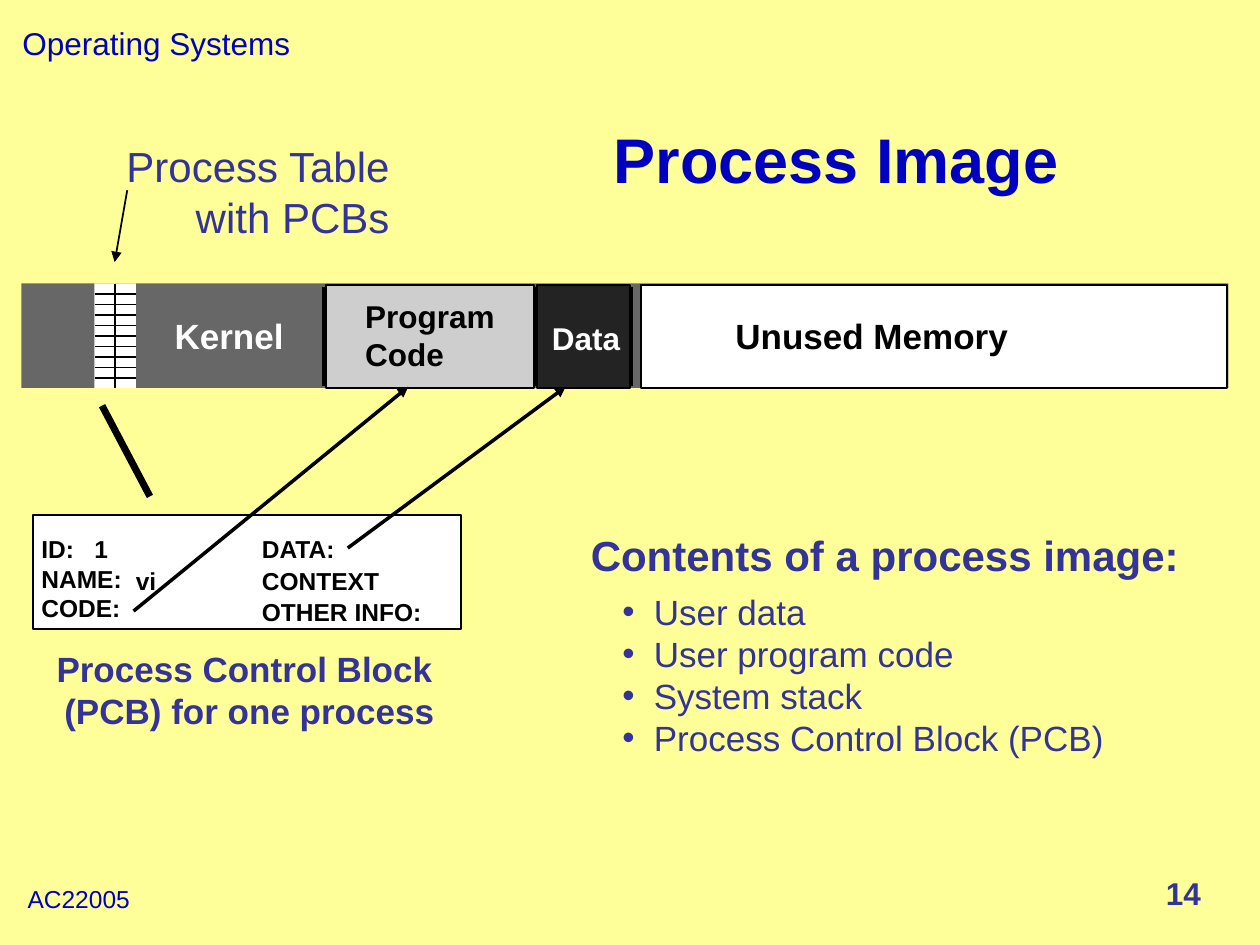
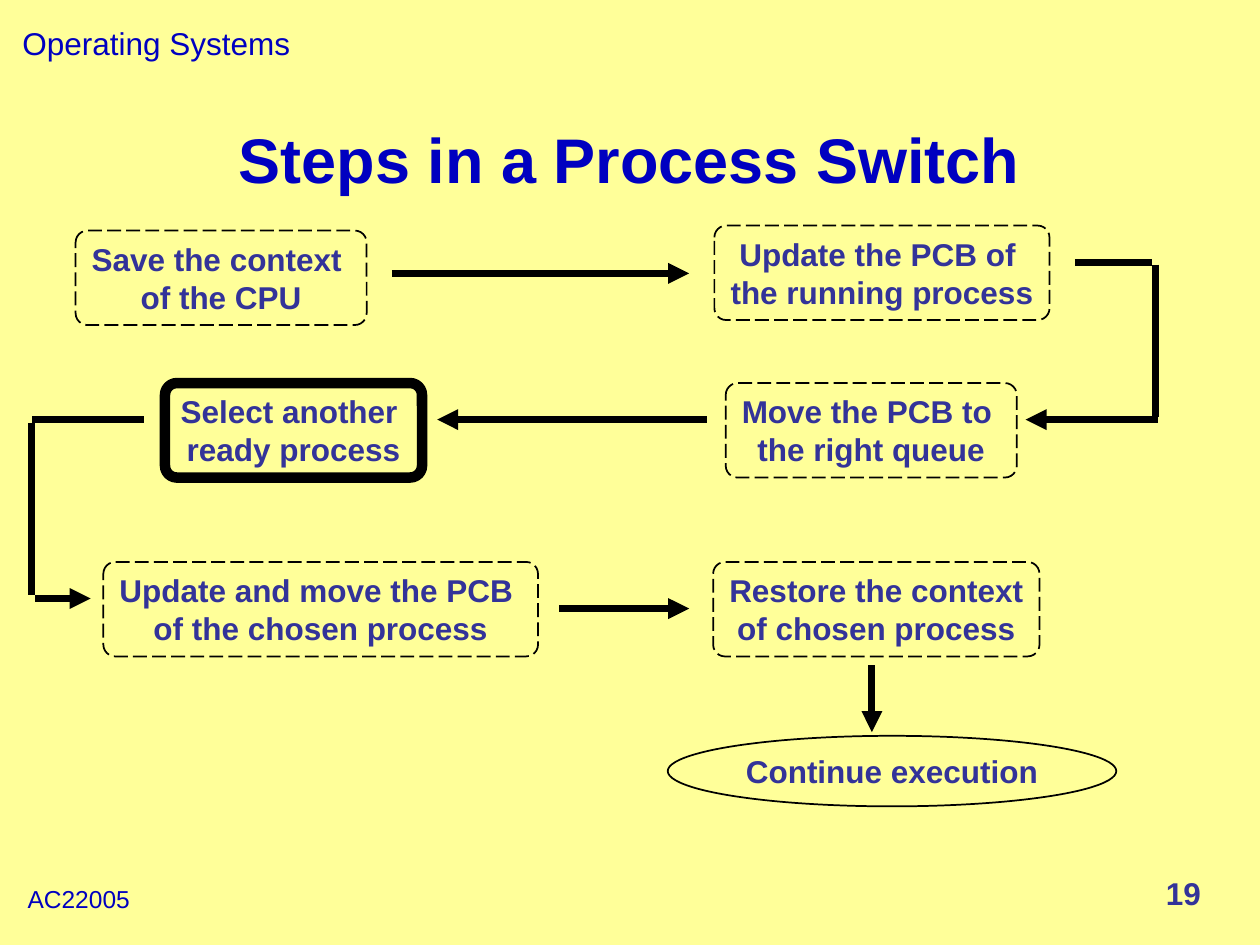
from dataclasses import dataclass

from lxml import etree
from pptx import Presentation
from pptx.dml.color import RGBColor
from pptx.enum.dml import MSO_LINE
from pptx.enum.shapes import MSO_CONNECTOR, MSO_SHAPE
from pptx.enum.text import MSO_ANCHOR, MSO_AUTO_SIZE, PP_ALIGN
from pptx.oxml.ns import qn
from pptx.util import Inches, Pt

LEFT, CENTER, RIGHT = PP_ALIGN.LEFT, PP_ALIGN.CENTER, PP_ALIGN.RIGHT
TOP, MIDDLE = MSO_ANCHOR.TOP, MSO_ANCHOR.MIDDLE
RECT, ROUNDED, OVAL = MSO_SHAPE.RECTANGLE, MSO_SHAPE.ROUNDED_RECTANGLE, MSO_SHAPE.OVAL


@dataclass(frozen=True)
class Theme:
    font: str = "Arial"
    paper: str = "FFFF99"
    title: str = "0000C0"
    body: str = "333399"
    black: str = "000000"
    white: str = "FFFFFF"
    kernel: str = "676767"
    code: str = "CECECE"
    data: str = "232323"
    title_size: int = 36
    large: int = 24
    medium: int = 20
    normal: int = 18
    small: int = 14
    thin: int = 1
    pointer: int = 2
    thick: int = 4
    frame: int = 6


T = Theme()

# Shared content
COURSE, MODULE = "Operating Systems", "AC22005"
TITLE_TOP, TITLE_HEIGHT = 0.67, 1.25

# Process image content: left, top, width, height in inches
BAR_TOP, BAR_HEIGHT = 2.25, 0.83
KERNEL = (0.17, 9.58)
SEGMENTS = [(2.59, 1.65, T.code), (4.26, 0.74, T.data), (5.09, 4.65, T.white)]
SEGMENT_EDGES = [2.58, 4.25, 5]
TABLE_LEFT, TABLE_WIDTH, TABLE_ROWS = 0.75, 0.33, 10
TABLE_PITCH = 1 / 12

BAR_LABELS = [
    (["Unused Memory"], (5.74, 2.45, 2.36, 0.43), T.medium, T.black, RIGHT),
    (["Kernel"], (1.29, 2.45, 1.06, 0.43), T.medium, T.white, RIGHT),
    (["Program", "Code"], (2.8, 2.31, 1.3, 0.7), T.normal, T.black, LEFT),
    (["Data"], (4.28, 2.48, 0.74, 0.4), T.normal, T.white, RIGHT),
]
PCB_FRAME = (0.26, 4.09, 3.4, 0.9)
PCB_IDENTITY = ["ID:\t1", "NAME:", "CODE:"]
PCB_FIELDS = ["DATA:", "CONTEXT", "OTHER INFO:"]
PCB_FIELD_LEFT, PCB_FIELD_TOP, PCB_FIELD_PITCH = 1.98, 4.19, 0.25
PCB_CAPTION = ["Process Control Block ", "(PCB) for one process"]
TABLE_CAPTION = ["Process Table", "with PCBs"]
CONTENTS_HEADING = "Contents of a process image:"
CONTENTS = ["User data", "User program code", "System stack",
            "Process Control Block (PCB)"]
POINTERS = [  # start, end, width, arrow
    ((1.06, 4.85), (3.24, 3.07), T.pointer, True),
    ((2.76, 4.35), (4.49, 3.07), T.pointer, True),
    ((1.19, 3.94), (0.81, 3.22), T.thick, False),
    ((1.01, 1.51), (0.91, 2.08), T.thin, True),
]

# Process switch content: lines, left, top, width
STEP_HEIGHT = 0.75
STEPS = [
    (["Save the context ", "of the CPU"], 0.6, 1.83, 2.31),
    (["Update the PCB of ", "the running process"], 5.67, 1.79, 2.66),
    (["Move the PCB to ", "the right queue"], 5.76, 3.04, 2.31),
    (["Select another ", "ready process"], 1.31, 3.04, 2.04),
    (["Update and move the PCB ", "of the chosen process"], 0.82, 4.46, 3.45),
    (["Restore the context", "of chosen process"], 5.66, 4.46, 2.59),
]
KEY_STEP = 3
LAST_STEP = (["Continue execution"], (5.3, 5.84, 3.56, 0.56))
FLOW = [  # start, end, arrow
    ((3.11, 2.17), (5.47, 2.17), True),
    ((8.53, 2.08), (9.14, 2.08), False),
    ((9.17, 2.1), (9.17, 3.31), False),
    ((9.19, 3.33), (8.14, 3.33), True),
    ((5.61, 3.33), (3.47, 3.33), True),
    ((1.14, 3.33), (0.25, 3.33), False),
    ((0.25, 3.36), (0.25, 4.72), False),
    ((0.28, 4.75), (0.72, 4.75), True),
    ((4.44, 4.83), (5.47, 4.83), True),
    ((6.92, 5.28), (6.92, 5.81), True),
]


# Drawing helpers
def color(value):
    return RGBColor.from_string(value)


def lengths(values):
    return [Inches(value) for value in values]


def add_span(para, text, size, tint, bold):
    span = para.add_run()
    span.text = text
    span.font.name, span.font.size, span.font.bold = T.font, Pt(size), bold
    span.font.color.rgb = color(tint)


def write(box, lines, size, tint, bold=True, align=LEFT, anchor=TOP, wrap=False):
    frame = box.text_frame
    frame.auto_size, frame.word_wrap = MSO_AUTO_SIZE.NONE, wrap
    frame.vertical_anchor = anchor
    for index, line in enumerate(lines):
        para = frame.add_paragraph() if index else frame.paragraphs[0]
        para.alignment = align
        add_span(para, line, size, tint, bold)
    return frame


def add_label(page, lines, place, size, tint, **style):
    return write(page.shapes.add_textbox(*lengths(place)), lines, size, tint, **style)


def add_box(page, kind, place, fill=None, line=None, dashed=False):
    box = page.shapes.add_shape(kind, *lengths(place))
    box.shadow.inherit = False
    if fill:
        box.fill.solid()
        box.fill.fore_color.rgb = color(fill)
    else:
        box.fill.background()
    if line:
        box.line.color.rgb, box.line.width = color(T.black), Pt(line)
        if dashed:
            box.line.dash_style = MSO_LINE.LONG_DASH
    else:
        box.line.fill.background()
    return box


def add_line(page, start, end, width, arrow=False):
    line = page.shapes.add_connector(MSO_CONNECTOR.STRAIGHT, *lengths(start + end))
    line.line.color.rgb, line.line.width = color(T.black), Pt(width)
    if arrow:
        etree.SubElement(line.line._get_or_add_ln(), qn("a:tailEnd"), type="triangle")
    etree.SubElement(line._element.spPr, qn("a:effectLst"))


def add_bullet(para):
    props = para._p.get_or_add_pPr()
    props.set("marL", str(Inches(0.5)))
    props.set("indent", str(-Inches(0.25)))
    tint = etree.SubElement(props, qn("a:buClr"))
    etree.SubElement(tint, qn("a:srgbClr"), val=T.body)
    etree.SubElement(props, qn("a:buFont"), typeface=T.font)
    etree.SubElement(props, qn("a:buChar"), char="•")


def add_tab(para, position):
    tabs = etree.SubElement(para._p.get_or_add_pPr(), qn("a:tabLst"))
    etree.SubElement(tabs, qn("a:tab"), pos=str(Inches(position)), algn="l")


def add_page(deck, title, left, width, number, align):
    page = deck.slides.add_slide(deck.slide_layouts[5])
    box = page.shapes.title
    box.left, box.top, box.width, box.height = lengths(
        (left, TITLE_TOP, width, TITLE_HEIGHT))
    frame = write(box, [title], T.title_size, T.title, align=align,
                  anchor=MIDDLE, wrap=True)
    frame.paragraphs[0].line_spacing = 0.9
    add_label(page, [COURSE], (0.08, 0.14, 2.32, 0.4), T.normal, T.title, bold=False)
    add_label(page, [MODULE], (0.12, 6.97, 1.01, 0.33), T.small, T.title, bold=False)
    add_label(page, [number], (8.22, 6.89, 1.41, 0.4), T.normal, T.body,
              align=RIGHT, wrap=True)
    return page


# Process image
def draw_memory_bar(page):
    left, width = KERNEL
    add_box(page, RECT, (left, BAR_TOP, width, BAR_HEIGHT), T.kernel)
    for x in SEGMENT_EDGES:
        add_line(page, (x, 2.28), (x, 3.06), T.thick)
    add_box(page, RECT, (TABLE_LEFT, BAR_TOP, TABLE_WIDTH, BAR_HEIGHT), T.white)
    middle, right = TABLE_LEFT + TABLE_WIDTH / 2, TABLE_LEFT + TABLE_WIDTH
    add_line(page, (middle, BAR_TOP), (middle, BAR_TOP + BAR_HEIGHT), T.thin)
    for row in range(1, TABLE_ROWS):
        y = BAR_TOP + row * TABLE_PITCH
        add_line(page, (TABLE_LEFT, y), (right, y), T.thin)
    for left, width, fill in SEGMENTS:
        add_box(page, RECT, (left, 2.26, width, 0.82), fill, T.thin)
    for lines, place, size, tint, align in BAR_LABELS:
        add_label(page, lines, place, size, tint, align=align)


def draw_control_block(page):
    add_box(page, RECT, PCB_FRAME, T.white, T.thin)
    frame = add_label(page, PCB_IDENTITY, (0.23, 4.19, 0.84, 0.8), T.small, T.black)
    add_tab(frame.paragraphs[0], 0.42)
    add_label(page, ["vi"], (0.98, 4.44, 0.36, 0.33), T.small, T.black)
    for row, field in enumerate(PCB_FIELDS):
        top = PCB_FIELD_TOP + row * PCB_FIELD_PITCH
        add_label(page, [field], (PCB_FIELD_LEFT, top, 1.47, 0.33), T.small, T.black,
                  wrap=True)
    add_label(page, PCB_CAPTION, (0.35, 5.09, 3.26, 0.76), T.medium, T.body,
              align=CENTER)


def draw_contents(page):
    frame = add_label(page, [CONTENTS_HEADING], (4.59, 4.15, 5.21, 1.91),
                      T.large, T.body, wrap=True)
    frame.paragraphs[0].space_after = Pt(6)
    for item in CONTENTS:
        para = frame.add_paragraph()
        para.level = 1
        add_bullet(para)
        add_span(para, item, T.medium, T.body, False)


def build_process_image(deck):
    page = add_page(deck, "Process Image", 4.77, 5.14, "14", LEFT)
    draw_memory_bar(page)
    draw_control_block(page)
    add_label(page, TABLE_CAPTION, (0.86, 1.07, 2.33, 0.9), T.large, T.body,
              bold=False, align=RIGHT)
    for pointer in POINTERS:
        add_line(page, *pointer)
    draw_contents(page)


# Process switch
def build_process_switch(deck):
    page = add_page(deck, "Steps in a Process Switch", 1.08, 7.83, "19", CENTER)
    style = dict(size=T.normal, tint=T.body, align=CENTER, anchor=MIDDLE)
    for index, (lines, left, top, width) in enumerate(STEPS):
        key = index == KEY_STEP
        box = add_box(page, ROUNDED, (left, top, width, STEP_HEIGHT),
                      line=T.frame if key else T.thin, dashed=not key)
        box.adjustments[0] = 0.125
        write(box, lines, **style)
    lines, place = LAST_STEP
    write(add_box(page, OVAL, place, line=T.thin), lines, **style)
    for start, end, arrow in FLOW:
        add_line(page, start, end, T.thick, arrow)


def main():
    deck = Presentation()
    deck.slide_width, deck.slide_height = Inches(10), Inches(7.5)
    paper = deck.slide_master.background.fill
    paper.solid()
    paper.fore_color.rgb = color(T.paper)
    build_process_image(deck)
    build_process_switch(deck)
    deck.save("out.pptx")


if __name__ == "__main__":
    main()
